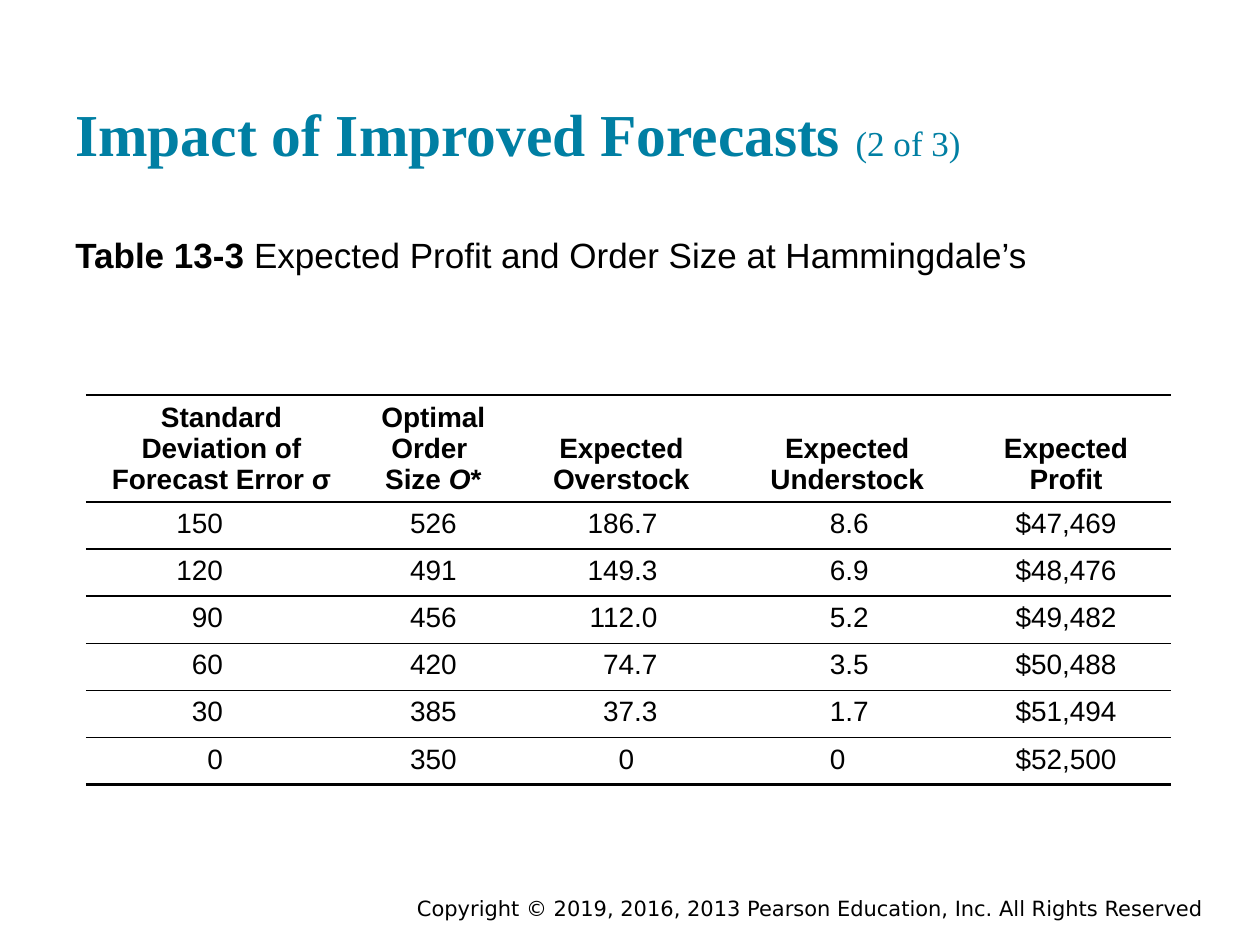
from lxml.etree import SubElement
from pptx import Presentation
from pptx.dml.color import RGBColor
from pptx.enum.text import MSO_ANCHOR, PP_ALIGN
from pptx.oxml.ns import qn
from pptx.util import Cm, Pt

BLACK, WHITE, TEAL = "000000", "FFFFFF", "007FA3"
COLUMN_WIDTHS = [5.47, 3.07, 4.51, 4.6, 4.22]
HEADER_HEIGHT, ROW_HEIGHT = 2.14, 0.95
# Alignment and position of the tab stop in each column; None means centred
COLUMN_TABS = [("r", 2.51), None, ("dec", 2.26), ("dec", 2.01), None]

HEADERS = [
    [["Standard Deviation of Forecast Error σ"]],
    [["Optimal Order "], ["Size ", ("O", {"italic": True}), "*"]],
    [["Expected Overstock"]],
    [["Expected Understock"]],
    [["Expected Profit"]],
]
ROWS = [
    ["150", "526", "186.7", "8.6", "$47,469"],
    ["120", "491", "149.3", "6.9", "$48,476"],
    ["90", "456", "112.0", "5.2", "$49,482"],
    ["60", "420", "74.7", "3.5", "$50,488"],
    ["30", "385", "37.3", "1.7", "$51,494"],
    ["0", "350", "0", "0", "$52,500"],
]
TITLE_FONT = {"name": "Times New Roman", "size": Pt(34), "bold": True, "color": TEAL}
BODY_FONT = {"name": "Arial", "size": Pt(20), "bold": False, "color": BLACK}
CELL_FONT = {**BODY_FONT, "size": Pt(16)}
HEADER_FONT = {**CELL_FONT, "bold": True}
COPYRIGHT_FONT = {**BODY_FONT, "name": "DejaVu Sans", "size": Pt(12)}


def set_color(color_format, hex_color):
    color_format.rgb = RGBColor.from_string(hex_color)


def add_runs(paragraph, pieces, font_values):
    """Add runs; a piece is a text, or a text with its own font values."""
    for piece in pieces:
        text, changes = (piece, {}) if isinstance(piece, str) else piece
        run = paragraph.add_run()
        run.text = text
        for name, value in {**font_values, **changes}.items():
            if name == "color":
                set_color(run.font.color, value)
            else:
                setattr(run.font, name, value)


def add_text(slide, box, pieces, font_values, anchor=MSO_ANCHOR.TOP, alignment=PP_ALIGN.LEFT):
    shape = slide.shapes.add_textbox(*map(Cm, box))
    frame = shape.text_frame
    frame.word_wrap = True
    frame.vertical_anchor = anchor
    for side in ("left", "right", "top", "bottom"):
        setattr(frame, f"margin_{side}", Cm(0.25))
    paragraph = frame.paragraphs[0]
    paragraph.alignment = alignment
    add_runs(paragraph, pieces, font_values)


def add_tab_stop(paragraph, alignment, position):
    tab_list = SubElement(paragraph._p.get_or_add_pPr(), qn("a:tabLst"))
    SubElement(tab_list, qn("a:tab"), pos=str(Cm(position)), algn=alignment)


def set_borders(cell, top, bottom):
    """Draw rules above and below a cell, in points, and none at its sides."""
    properties = cell._tc.get_or_add_tcPr()
    for side, width in (("L", 0), ("R", 0), ("T", top), ("B", bottom)):
        line = SubElement(properties, qn(f"a:ln{side}"), w=str(Pt(width)))
        if width:
            fill = SubElement(line, qn("a:solidFill"))
            SubElement(fill, qn("a:srgbClr"), val=BLACK)
        else:
            SubElement(line, qn("a:noFill"))


def fill_cell(cell, top, bottom):
    set_borders(cell, top, bottom)
    cell.fill.solid()
    set_color(cell.fill.fore_color, WHITE)


def add_header_cell(cell, lines):
    cell.vertical_anchor = MSO_ANCHOR.BOTTOM
    cell.margin_top = 0
    frame = cell.text_frame
    for index, pieces in enumerate(lines):
        paragraph = frame.add_paragraph() if index else frame.paragraphs[0]
        paragraph.alignment = PP_ALIGN.CENTER
        add_runs(paragraph, pieces, HEADER_FONT)


def add_value_cell(cell, text, tab):
    paragraph = cell.text_frame.paragraphs[0]
    if tab:
        add_tab_stop(paragraph, *tab)
        text = "\t" + text
    else:
        paragraph.alignment = PP_ALIGN.CENTER
    add_runs(paragraph, [text], CELL_FONT)


def add_profit_table(slide, left, top):
    heights = [HEADER_HEIGHT] + [ROW_HEIGHT] * len(ROWS)
    rules = [1.5, 1.5] + [1] * (len(ROWS) - 1) + [2.25]
    size = Cm(sum(COLUMN_WIDTHS)), Cm(sum(heights))
    frame = slide.shapes.add_table(len(heights), len(COLUMN_WIDTHS), Cm(left), Cm(top), *size)
    table = frame.table
    table.first_row = table.horz_banding = False
    for column, width in zip(table.columns, COLUMN_WIDTHS):
        column.width = Cm(width)
    for index, (row, height) in enumerate(zip(table.rows, heights)):
        row.height = Cm(height)
        for cell in row.cells:
            fill_cell(cell, *rules[index:index + 2])
    for cell, lines in zip(table.rows[0].cells, HEADERS):
        add_header_cell(cell, lines)
    for index, values in enumerate(ROWS, start=1):
        for cell, text, tab in zip(table.rows[index].cells, values, COLUMN_TABS):
            add_value_cell(cell, text, tab)


def main():
    presentation = Presentation()
    presentation.slide_width, presentation.slide_height = Cm(25.4), Cm(19.05)
    slide = presentation.slides.add_slide(presentation.slide_layouts[6])
    add_text(slide, (7.62, 17.98, 16.89, 0.64),
             ["Copyright © 2019, 2016, 2013 Pearson Education, Inc. All Rights Reserved"],
             COPYRIGHT_FONT, MSO_ANCHOR.MIDDLE, PP_ALIGN.RIGHT)
    add_text(slide, (1.27, 1.68, 22.86, 1.96),
             ["Impact of Improved Forecasts ", ("(2 of 3)", {"size": Pt(20), "bold": False})],
             TITLE_FONT, MSO_ANCHOR.BOTTOM)
    add_text(slide, (1.27, 4.45, 22.86, 1.27),
             [("Table 13-3 ", {"bold": True}),
              "Expected Profit and Order Size at Hammingdale’s"],
             BODY_FONT)
    add_profit_table(slide, 1.73, 7.96)
    presentation.save("out.pptx")


if __name__ == "__main__":
    main()
